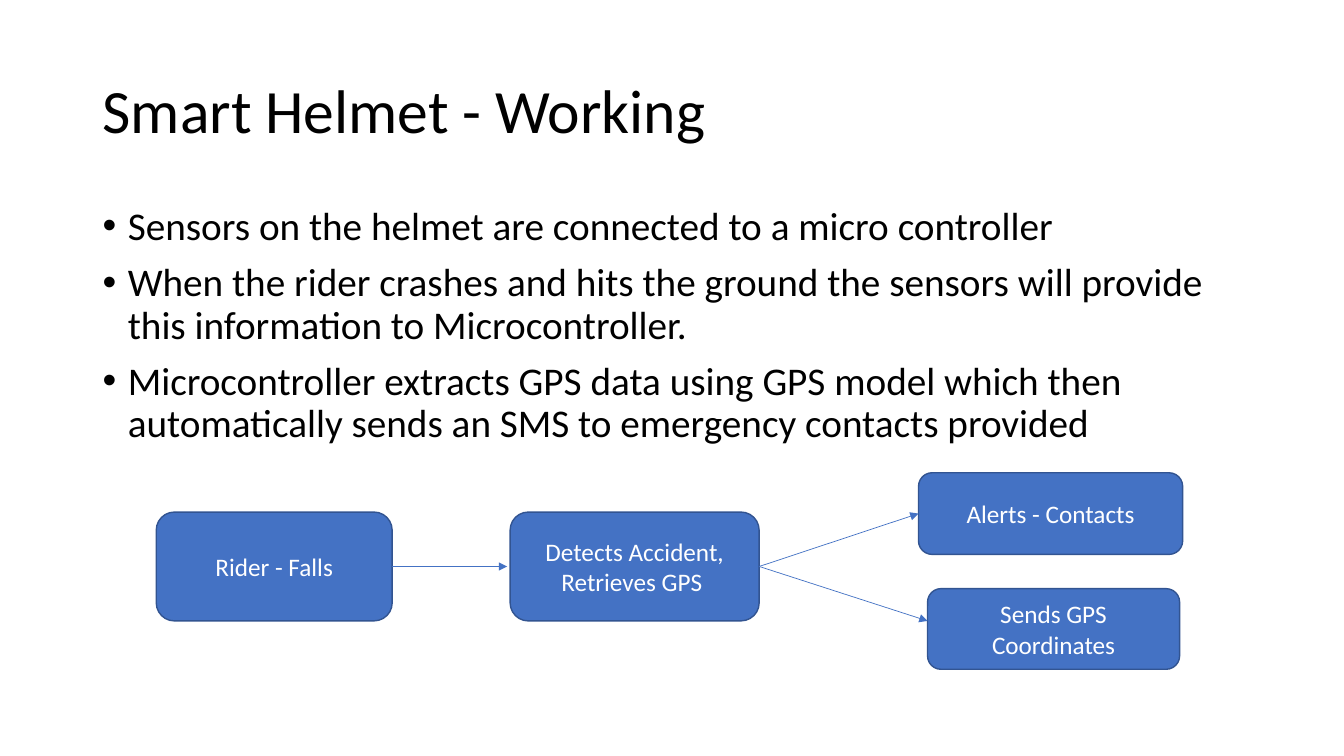
from lxml import etree
from pptx import Presentation
from pptx.dml.color import RGBColor
from pptx.enum.shapes import MSO_CONNECTOR, MSO_SHAPE
from pptx.enum.text import MSO_ANCHOR, PP_ALIGN
from pptx.oxml.ns import qn
from pptx.util import Inches, Pt

BLACK = RGBColor(0x00, 0x00, 0x00)
WHITE = RGBColor(0xFF, 0xFF, 0xFF)
BLUE = RGBColor(0x44, 0x72, 0xC4)
DARK_BLUE = RGBColor(0x32, 0x54, 0x91)
ROUNDED = MSO_SHAPE.ROUNDED_RECTANGLE
STRAIGHT = MSO_CONNECTOR.STRAIGHT
MIDDLE = MSO_ANCHOR.MIDDLE
TOP = MSO_ANCHOR.TOP
CENTER = PP_ALIGN.CENTER
LEFT_SIDE, RIGHT_SIDE = 1, 3

POINTS = [
    "Sensors on the helmet are connected to a micro controller",
    "When the rider crashes and hits the ground the sensors will provide "
    "this information to Microcontroller.",
    "Microcontroller extracts GPS data using GPS model which then "
    "automatically sends an SMS to emergency contacts provided",
]


class Page:
    font_name = "Calibri"

    def __init__(self, slide):
        self.shapes = slide.shapes

    def style(self, para, size, color):
        para.font.name = self.font_name
        para.font.size = Pt(size)
        para.font.color.rgb = color

    def text(self, left, top, width, height, lines, size, anchor=TOP, bullets=False):
        box = self.shapes.add_textbox(Inches(left), Inches(top), Inches(width), Inches(height))
        frame = box.text_frame
        frame.word_wrap = True
        frame.vertical_anchor = anchor
        for index, line in enumerate(lines):
            para = frame.add_paragraph() if index else frame.paragraphs[0]
            para.text = line
            para.line_spacing = 0.9
            if index:
                para.space_before = Pt(10)
            if bullets:
                self.bullet(para)
            self.style(para, size, BLACK)

    def bullet(self, para):
        properties = para._p.get_or_add_pPr()
        properties.set("marL", str(Inches(0.25)))
        properties.set("indent", str(-Inches(0.25)))
        etree.SubElement(properties, qn("a:buFont"), typeface="Arial")
        etree.SubElement(properties, qn("a:buChar"), char="•")

    def step(self, left, top, width, height, label):
        box = self.shapes.add_shape(
            ROUNDED, Inches(left), Inches(top), Inches(width), Inches(height))
        box.shadow.inherit = False
        box.fill.solid()
        box.fill.fore_color.rgb = BLUE
        box.line.color.rgb = DARK_BLUE
        box.line.width = Pt(1)
        frame = box.text_frame
        frame.word_wrap = True
        frame.vertical_anchor = MIDDLE
        para = frame.paragraphs[0]
        para.text = label
        para.alignment = CENTER
        self.style(para, 18, WHITE)
        return box

    def arrow(self, source, end_x, end_y, target=None):
        link = self.shapes.add_connector(
            STRAIGHT, source.left + source.width, source.top + source.height // 2,
            Inches(end_x), Inches(end_y))
        link.begin_connect(source, RIGHT_SIDE)
        if target is not None:
            link.end_connect(target, LEFT_SIDE)
        link.line.color.rgb = BLUE
        link.line.width = Pt(0.5)
        etree.SubElement(link.line._get_or_add_ln(), qn("a:tailEnd"), type="triangle")
        etree.SubElement(link._element.spPr, qn("a:effectLst"))


def main():
    deck = Presentation()
    deck.slide_width = Inches(13.33)
    deck.slide_height = Inches(7.5)
    page = Page(deck.slides.add_slide(deck.slide_layouts[6]))

    page.text(0.92, 0.4, 11.5, 1.45, ["Smart Helmet - Working"], 44, anchor=MIDDLE)
    page.text(0.92, 2, 11.5, 4.76, POINTS, 28, bullets=True)

    fall = page.step(1.55, 5.08, 2.34, 1.08, "Rider - Falls")
    detect = page.step(5.06, 5.08, 2.47, 1.08, "Detects Accident, Retrieves GPS ")
    alert = page.step(9.11, 4.69, 2.62, 0.81, "Alerts - Contacts")
    page.step(9.2, 5.84, 2.5, 0.8, "Sends GPS Coordinates")

    page.arrow(fall, 5.03, 5.62)
    page.arrow(detect, 9.11, 5.08, alert)
    page.arrow(detect, 9.2, 6.16)

    deck.save("out.pptx")


if __name__ == "__main__":
    main()
